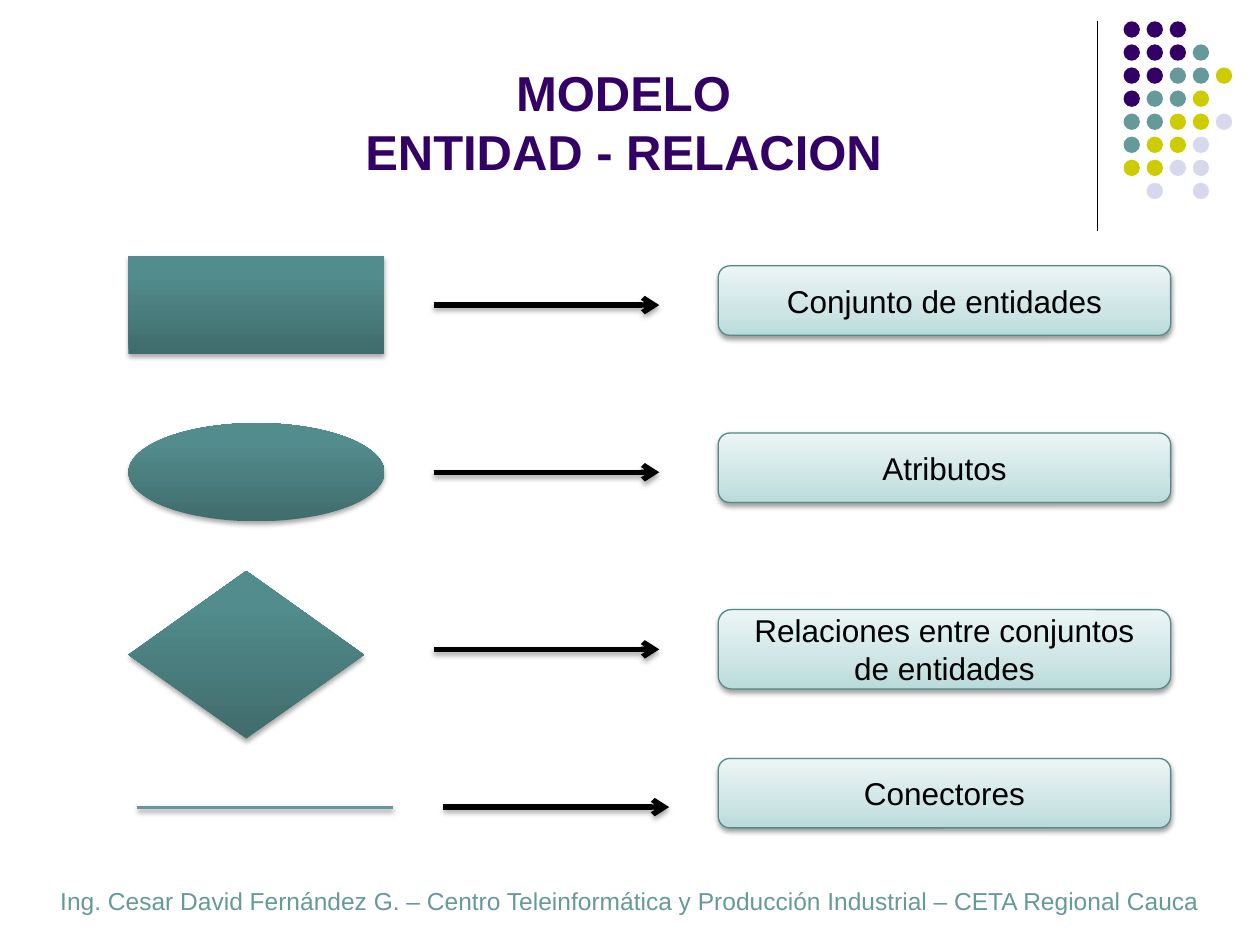
import pptx
import pptx.util
import pptx.dml.color
import pptx.enum.shapes
import pptx.enum.text
import pptx.oxml
import pptx.oxml.ns
from lxml import etree

Cm = pptx.util.Cm
Pt = pptx.util.Pt
SHAPE = pptx.enum.shapes.MSO_SHAPE
ALIGN = pptx.enum.text.PP_ALIGN
ANCHOR = pptx.enum.text.MSO_ANCHOR
qn = pptx.oxml.ns.qn

COLORS = {
    "purple": "330066",
    "teal": "669999",
    "lime": "CCCC00",
    "lilac": "D8D8EC",
    "black": "000000",
    "border": "598888",
}
SYMBOL_STOPS = [(0, "406C6C"), (80, "528C8C"), (100, "528E8E")]
LABEL_STOPS = [(0, "B9DBDB"), (35, "CEE5E5"), (100, "ECF5F5")]
DOT_ROWS = ["PPP", "PPPT", "PPTTL", "PTTL", "TTLLV", "TLLV", "LLVV", " V V"]
DOT_COLORS = {"P": "purple", "T": "teal", "L": "lime", "V": "lilac"}


def rgb(name):
    return pptx.dml.color.RGBColor.from_string(COLORS[name])


def add_color(parent, value):
    return etree.SubElement(parent, qn("a:srgbClr"), val=value)


def set_gradient(sp, stops):
    sp.fill.gradient()
    sp.fill.gradient_angle = 90
    gs_list = sp._element.spPr.find(".//" + qn("a:gsLst"))
    for gs in list(gs_list):
        gs_list.remove(gs)
    for pos, value in stops:
        add_color(etree.SubElement(gs_list, qn("a:gs"), pos=str(pos * 1000)), value)


def add_shadow(sp, alpha, dist):
    effects = sp._element.spPr.find(qn("a:effectLst"))
    shadow = etree.SubElement(
        effects, qn("a:outerShdw"), blurRad=str(Pt(3.1)), dist=str(Pt(dist)),
        dir="5400000", rotWithShape="0")
    color = add_color(shadow, COLORS["black"])
    etree.SubElement(color, qn("a:alpha"), val=str(alpha * 1000))


def add_shape(s, kind, x, y, w, h):
    sp = s.shapes.add_shape(kind, Cm(x), Cm(y), Cm(w), Cm(h))
    sp.shadow.inherit = False
    sp.line.fill.background()
    return sp


def add_line(s, x1, y1, x2, y2, color, width, arrow=False):
    line = s.shapes.add_connector(
        pptx.enum.shapes.MSO_CONNECTOR.STRAIGHT, Cm(x1), Cm(y1), Cm(x2), Cm(y2))
    line.line.color.rgb = rgb(color)
    line.line.width = Pt(width)
    if arrow:
        etree.SubElement(line.line._get_or_add_ln(), qn("a:tailEnd"), type="arrow")
    etree.SubElement(line._element.spPr, qn("a:effectLst"))
    return line


def set_text(tf, text, size, color, bold=False):
    tf.word_wrap = True
    p = tf.paragraphs[0]
    p.text = text
    p.alignment = ALIGN.CENTER
    p.font.name = "Arial"
    p.font.size = Pt(size)
    p.font.bold = bold
    p.font.color.rgb = rgb(color)


def add_ornament(s, x, y, h):
    add_line(s, x, y, x, y + h, "black", 0.75)
    pitch, size = 0.465, 0.33
    for row, codes in enumerate(DOT_ROWS):
        for col, code in enumerate(codes):
            if code in DOT_COLORS:
                dot = add_shape(s, SHAPE.OVAL, x + 0.53 + col * pitch,
                                y + row * pitch, size, size)
                dot.fill.solid()
                dot.fill.fore_color.rgb = rgb(DOT_COLORS[code])


def add_title(s, x, y, w, h):
    title = s.shapes.title
    title.left, title.top, title.width, title.height = Cm(x), Cm(y), Cm(w), Cm(h)
    tf = title.text_frame
    tf.auto_size = pptx.enum.text.MSO_AUTO_SIZE.NONE
    tf.vertical_anchor = ANCHOR.BOTTOM
    set_text(tf, "MODELO\vENTIDAD - RELACION", 28, "purple", True)


def add_footer(s, x, y, w, h):
    box = s.shapes.add_textbox(Cm(x), Cm(y), Cm(w), Cm(h))
    set_text(box.text_frame,
             "Ing. Cesar David Fernández G. – Centro Teleinformática y "
             "Producción Industrial – CETA Regional Cauca", 14, "teal")


def add_legend_row(s, x, y, kind, size, arrow, label, text):
    w, h = size
    if kind is None:
        line = add_line(s, x + 0.18, y + h / 2, x + 0.18 + w, y + h / 2, "teal", 2)
        add_shadow(line, 38, 1.6)
    else:
        symbol = add_shape(s, kind, x, y, w, h)
        set_gradient(symbol, SYMBOL_STOPS)
        add_shadow(symbol, 35, 1.8)

    dx, dy = arrow
    pointer = add_line(s, x + dx, y + dy, x + dx + 4.55, y + dy, "black", 3, True)
    add_shadow(pointer, 35, 1.8)

    label_y, label_h = label
    box = add_shape(s, SHAPE.ROUNDED_RECTANGLE, x + 11.89, y + label_y, 9.12, label_h)
    set_gradient(box, LABEL_STOPS)
    box.line.color.rgb = rgb("border")
    box.line.width = Pt(0.75)
    add_shadow(box, 38, 1.6)
    box.text_frame.vertical_anchor = ANCHOR.MIDDLE
    set_text(box.text_frame, text, 18, "black")


def main():
    prs = pptx.Presentation()
    prs.slide_width, prs.slide_height = Cm(25.4), Cm(19.05)
    s = prs.slides.add_slide(prs.slide_layouts[5])
    add_ornament(s, 22.12, 0.43, 4.22)
    add_footer(s, 0.5, 17.73, 24.4, 0.81)
    add_title(s, 4.9, 0.99, 15.34, 2.77)
    rows = [
        (5.16, SHAPE.RECTANGLE, (5.16, 1.98), (6.15, 0.99), (0.2, 1.4),
         "Conjunto de entidades"),
        (8.53, SHAPE.OVAL, (5.16, 1.98), (6.15, 0.99), (0.2, 1.4), "Atributos"),
        (11.51, SHAPE.DIAMOND, (4.75, 3.38), (6.15, 1.58), (0.78, 1.6),
         "Relaciones entre conjuntos de entidades"),
        (15.29, None, (5.16, 1.98), (6.35, 0.98), (0, 1.4), "Conectores"),
    ]
    for top, *parts in rows:
        add_legend_row(s, 2.59, top, *parts)
    prs.save("out.pptx")


if __name__ == "__main__":
    main()
